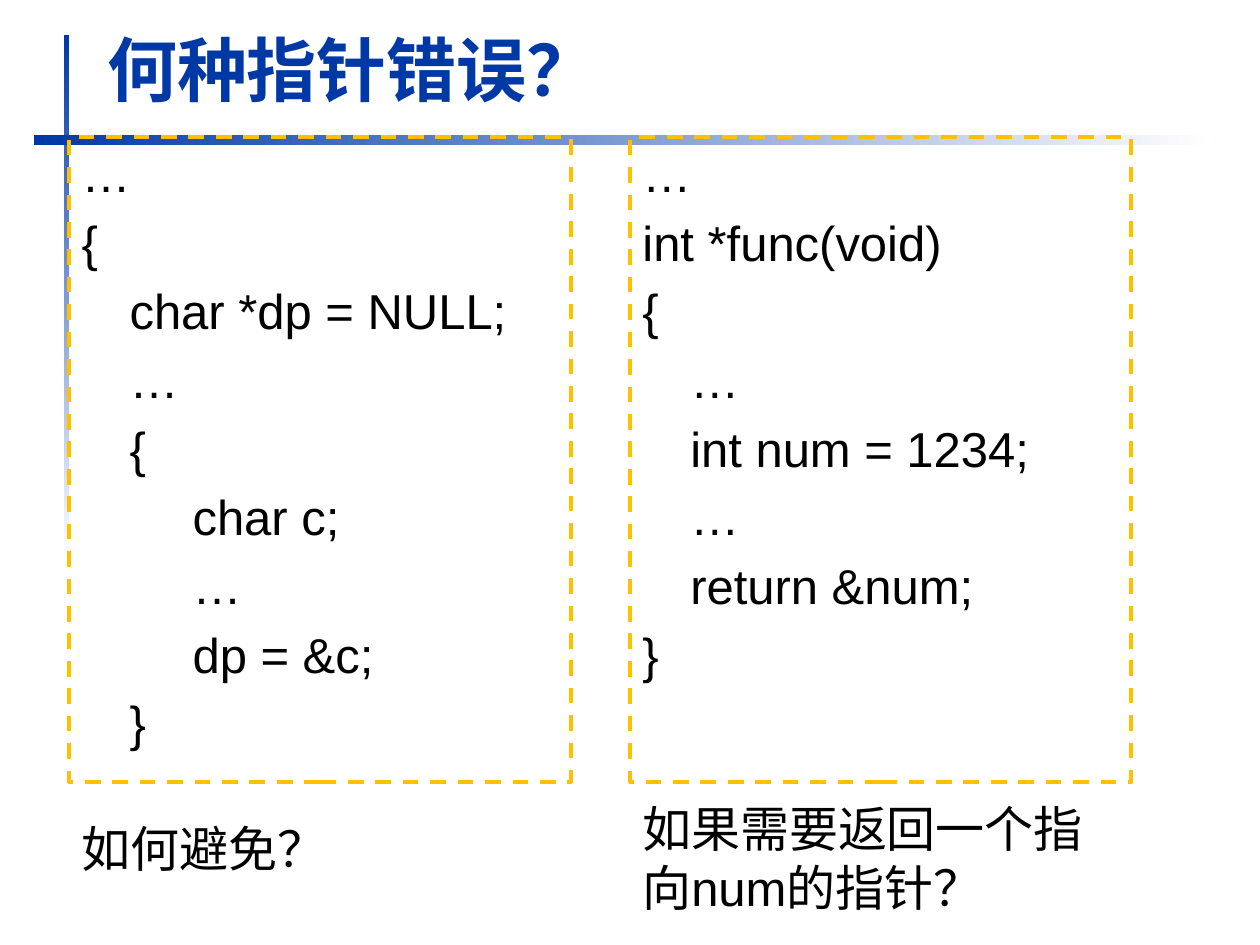
from lxml import etree
from pptx import Presentation
from pptx.dml.color import RGBColor
from pptx.enum.dml import MSO_LINE
from pptx.enum.shapes import MSO_SHAPE
from pptx.enum.text import MSO_ANCHOR, PP_ALIGN
from pptx.oxml.ns import qn
from pptx.util import Inches, Pt

RECT = MSO_SHAPE.RECTANGLE
DASH = MSO_LINE.DASH
TOP, BOTTOM = MSO_ANCHOR.TOP, MSO_ANCHOR.BOTTOM
LEFT = PP_ALIGN.LEFT

COLORS = {"blue": "0039A6", "white": "FFFFFF", "gold": "FFC000", "black": "000000"}
FONT = "Arial"
COLS = (0.55, 5)

CODE = (
    ["…", "{", "\tchar *dp = NULL;", "\t…", "\t{",
     "\t\tchar c;", "\t\t…", "\t\tdp = &c;", "\t}"],
    ["…", "int *func(void)", "{", "\t…", "\tint num = 1234;",
     "\t…", "\treturn &num;", "}"],
)


def color(name):
    return RGBColor.from_string(COLORS[name])


def write(frame, lines, size=28, tint="black", bold=False, anchor=TOP,
          wrap=True, hang=0, before=0):
    """Fill a text frame; hang is in inches, before in percent of a line."""
    frame.word_wrap = wrap
    frame.vertical_anchor = anchor
    for i, line in enumerate(lines):
        para = frame.add_paragraph() if i else frame.paragraphs[0]
        para.alignment = LEFT
        props = para._p.get_or_add_pPr()
        if hang:
            props.set("marL", str(Inches(hang)))
            props.set("indent", str(Inches(-hang)))
        if before:
            space = etree.SubElement(props, qn("a:spcBef"))
            etree.SubElement(space, qn("a:spcPct")).set("val", str(before * 1000))
        run = para.add_run()
        run.text = line
        font = run.font
        font.name, font.size, font.bold = FONT, Pt(size), bold
        font.color.rgb = color(tint)


def add_rect(slide, x, y, w, h):
    rect = slide.shapes.add_shape(RECT, Inches(x), Inches(y), Inches(w), Inches(h))
    rect.shadow.inherit = False
    return rect


def add_bar(slide, x, y, w, h, angle):
    bar = add_rect(slide, x, y, w, h)
    bar.line.fill.background()
    bar.fill.gradient()
    bar.fill.gradient_angle = angle
    for stop, name in zip(bar.fill.gradient_stops, ("blue", "white")):
        stop.color.rgb = color(name)


def add_code(slide, x, lines):
    box = add_rect(slide, x, 1.09, 3.98, 5.12)
    box.fill.background()
    box.line.color.rgb = color("gold")
    box.line.width = Pt(2.25)
    box.line.dash_style = DASH
    write(box.text_frame, lines, hang=0.38, before=20)


def add_note(slide, x, y, w, h, text, wrap=True):
    note = slide.shapes.add_textbox(Inches(x), Inches(y), Inches(w), Inches(h))
    write(note.text_frame, [text], wrap=wrap)


def set_title(slide, text):
    title = slide.shapes.title
    title.left, title.top = Inches(0.75), Inches(0.16)
    title.width, title.height = Inches(4.64), Inches(0.77)
    write(title.text_frame, [text], size=40, tint="blue", bold=True,
          anchor=BOTTOM, wrap=False)


def main():
    prs = Presentation()
    prs.slide_width, prs.slide_height = Inches(10), Inches(7.5)
    slide = prs.slides.add_slide(prs.slide_layouts[5])

    # Fading rules: one runs down, one runs right
    add_bar(slide, 0.51, 0.28, 0.04, 4.17, 270)
    add_bar(slide, 0.27, 1.07, 9.37, 0.08, 0)
    set_title(slide, "何种指针错误？")

    # Code samples side by side
    for x, lines in zip(COLS, CODE):
        add_code(slide, x, lines)

    # Question under each sample
    add_note(slide, COLS[0], 6.45, 2.16, 0.57, "如何避免？", wrap=False)
    add_note(slide, COLS[1], 6.29, 4.06, 1.04, "如果需要返回一个指向num的指针？")

    prs.save("out.pptx")


if __name__ == "__main__":
    main()
